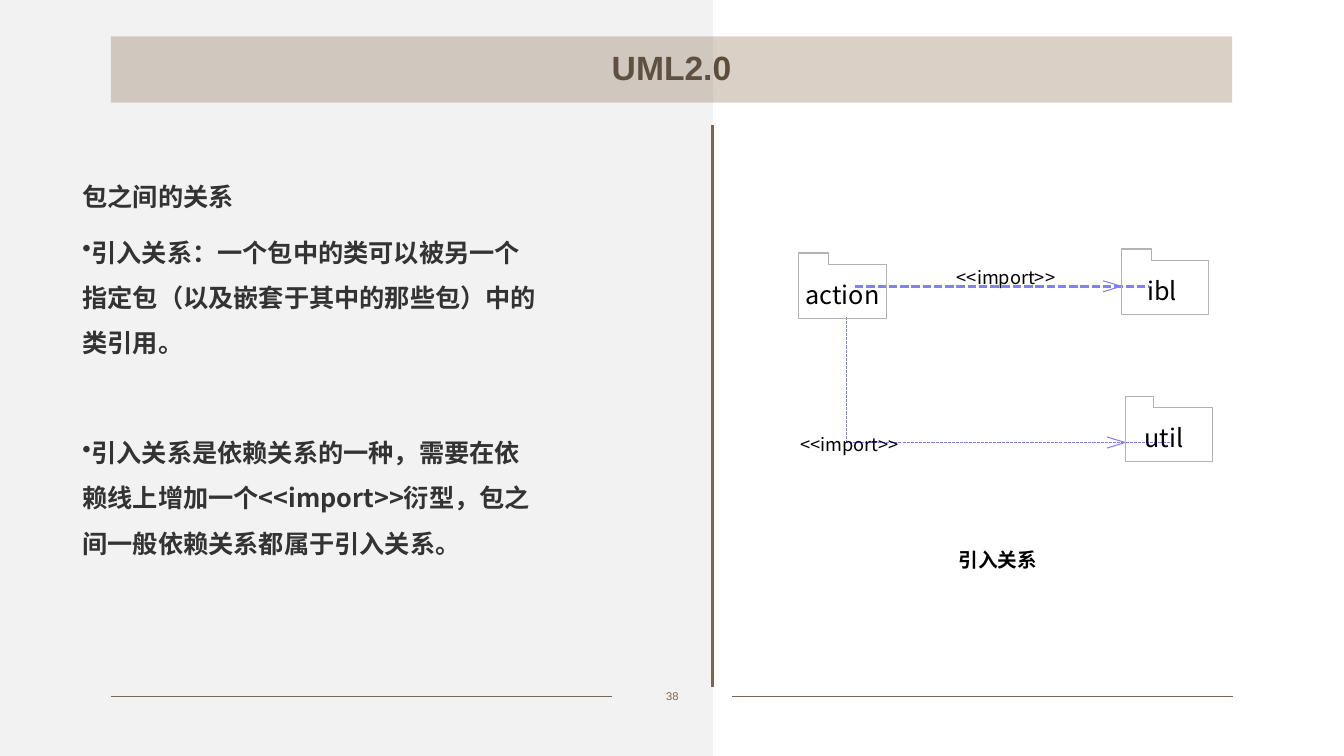
from dataclasses import dataclass

from lxml.etree import SubElement
from pptx import Presentation
from pptx.dml.color import RGBColor
from pptx.enum.dml import MSO_LINE as Dash
from pptx.enum.shapes import MSO_CONNECTOR as Conn, MSO_SHAPE as Kind
from pptx.enum.text import MSO_ANCHOR as Anchor, MSO_AUTO_SIZE as Fit, PP_ALIGN as Align
from pptx.oxml.ns import qn
from pptx.util import Inches, Pt

COLORS = {
    "brown": "7A654E", "title": "5C4C3B", "band": "B6A38E", "panel": "808080",
    "body": "333333", "black": "000000", "arrow": "8080FF", "folder": "B2B2B2",
}
LATIN, CJK = "Arial", "Noto Sans CJK SC"


@dataclass
class Label:
    text: str
    left: float
    top: float
    width: float
    height: float
    size: float
    color: str = "black"
    font: str = CJK
    bold: bool = False
    wrap: bool = True
    inset: bool = True
    bullet: bool = False
    center: bool = False


@dataclass
class Folder:
    name: str
    left: float
    top: float
    text_left: float
    text_width: float
    tab: float = 0.3


@dataclass
class Arrow:
    points: list[tuple[float, float]]
    tip: float
    label_left: float
    label_top: float


BODY = [
    Label("包之间的关系", 0.72, 1.75, 6.67, 0.4, 18, "body", bold=True),
    Label("引入关系：一个包中的类可以被另一个指定包（以及嵌套于其中的那些包）中的类引用。",
          0.72, 2.15, 4.7, 1.41, 18, "body", bold=True, bullet=True),
    Label("引入关系是依赖关系的一种，需要在依赖线上增加一个<<import>>衍型，包之间一般依赖关系都属于引入关系。",
          0.72, 4.14, 4.7, 1.41, 18, "body", bold=True, bullet=True),
    Label("引入关系", 9.41, 5.39, 1.12, 0.34, 14, bold=True),
]
NUMBER = Label("38", 6.5, 6.79, 0.34, 0.24, 8, "brown", LATIN, wrap=False, center=True)
ARROWS = [
    Arrow([(8.48, 2.84), (11.39, 2.84)], 11.12, 9.49, 2.64),
    Arrow([(8.4, 3.14), (8.4, 4.39), (11.6, 4.39)], 11.16, 7.94, 4.3),
]
FOLDERS = [
    Folder("action", 7.92, 2.51, 7.99, 0.86),
    Folder("ibl", 11.12, 2.47, 11.38, 0.49),
    Folder("util", 11.16, 3.93, 11.35, 0.61, 0.28),
]


def rgb(name: str) -> RGBColor:
    return RGBColor.from_string(COLORS[name])


def paint(shape, color: str, alpha: int) -> None:
    """Fill without outline or shadow; alpha is opacity in percent."""
    shape.shadow.inherit = False
    shape.fill.solid()
    shape.fill.fore_color.rgb = rgb(color)
    tone = shape.fill._xPr.find(qn("a:solidFill"))[0]
    SubElement(tone, qn("a:alpha"), val=str(alpha * 1000))
    shape.line.fill.background()


def add_run(para, text: str, size: float, color: str, font: str, bold: bool) -> None:
    run = para.add_run()
    run.text = text
    run.font.size = Pt(size)
    run.font.bold = bold
    run.font.color.rgb = rgb(color)
    run.font.name = font
    SubElement(run._r.get_or_add_rPr(), qn("a:ea"), typeface=font)


def add_label(slide, label: Label) -> None:
    box = slide.shapes.add_textbox(
        Inches(label.left), Inches(label.top), Inches(label.width), Inches(label.height))
    frame = box.text_frame
    frame.word_wrap = label.wrap
    frame.auto_size = Fit.SHAPE_TO_FIT_TEXT
    if not label.inset:
        frame.margin_left = frame.margin_right = 0
        frame.margin_top = frame.margin_bottom = 0
    para = frame.paragraphs[0]
    if label.bullet:
        para.line_spacing = 1.5
        SubElement(para._p.get_or_add_pPr(), qn("a:buChar"), char="•")
    if label.center:
        para.alignment = Align.CENTER
        frame.vertical_anchor = Anchor.MIDDLE
    add_run(para, label.text, label.size, label.color, label.font, label.bold)


def add_rule(slide, start: tuple[float, float], end: tuple[float, float],
             color: str, width: float, dashed: bool = False) -> None:
    rule = slide.shapes.add_connector(
        Conn.STRAIGHT, *(Inches(value) for value in (*start, *end)))
    rule.line.color.rgb = rgb(color)
    rule.line.width = Pt(width)
    if dashed:
        rule.line.dash_style = Dash.SQUARE_DOT
        rule.line._ln.find(qn("a:prstDash")).set("val", "sysDash")
    SubElement(rule._element.spPr, qn("a:effectLst"))


def add_path(slide, points: list[tuple[float, float]], color: str,
             close: bool = False, dashed: bool = False) -> None:
    spots = [(Inches(x), Inches(y)) for x, y in points]
    maker = slide.shapes.build_freeform(*spots[0])
    maker.add_line_segments(spots[1:], close=close)
    shape = maker.convert_to_shape()
    shape.shadow.inherit = False
    shape.fill.background()
    shape.line.color.rgb = rgb(color)
    shape.line.width = Pt(0)
    if dashed:
        shape.line.dash_style = Dash.SQUARE_DOT
        shape.line._ln.find(qn("a:prstDash")).set("val", "sysDash")


def add_arrow(slide, arrow: Arrow) -> None:
    if len(arrow.points) == 2:
        add_rule(slide, *arrow.points, "arrow", 0, dashed=True)
    else:
        add_path(slide, arrow.points, "arrow", dashed=True)
    y, back = arrow.points[-1][1], arrow.tip - 0.18
    add_path(slide, [(back, y + 0.055), (arrow.tip, y), (back, y - 0.055)], "arrow")
    add_label(slide, Label("<<import>>", arrow.label_left, arrow.label_top,
                           1.05, 0.2, 13, wrap=False, inset=False))


def add_folder(slide, folder: Folder) -> None:
    left, top = folder.left, folder.top
    right, base = left + 0.87, top + 0.65
    fold, lid = left + folder.tab, top + 0.11
    add_path(slide, [(left, base), (right, base), (right, lid), (fold, lid),
                     (fold, top), (left, top)], "folder", close=True)
    add_label(slide, Label(folder.name, folder.text_left, top + 0.26,
                           folder.text_width, 0.28, 18, wrap=False, inset=False))


def set_title(slide, text: str) -> None:
    title = slide.shapes.title
    title.left, title.top = Inches(1.1), Inches(0.36)
    title.width, title.height = Inches(11.12), Inches(0.66)
    paint(title, "band", 50)
    frame = title.text_frame
    frame.vertical_anchor = Anchor.MIDDLE
    para = frame.paragraphs[0]
    para.alignment = Align.CENTER
    para.line_spacing = 0.9
    add_run(para, text, 24, "title", LATIN, True)


def main() -> None:
    deck = Presentation()
    deck.slide_width, deck.slide_height = Inches(13.33), Inches(7.5)
    slide = deck.slides.add_slide(deck.slide_layouts[5])
    set_title(slide, "UML2.0")
    for left in (1.1, 7.26):
        add_rule(slide, (left, 6.91), (left + 4.97, 6.91), "brown", 0.5)
    add_label(slide, NUMBER)
    panel = slide.shapes.add_shape(Kind.RECTANGLE, 0, 0, Inches(7.07), Inches(7.5))
    paint(panel, "panel", 10)
    add_rule(slide, (7.07, 1.24), (7.07, 6.82), "brown", 2)
    for label in BODY:
        add_label(slide, label)
    for arrow in ARROWS:
        add_arrow(slide, arrow)
    for folder in FOLDERS:
        add_folder(slide, folder)
    deck.save("out.pptx")


if __name__ == "__main__":
    main()
